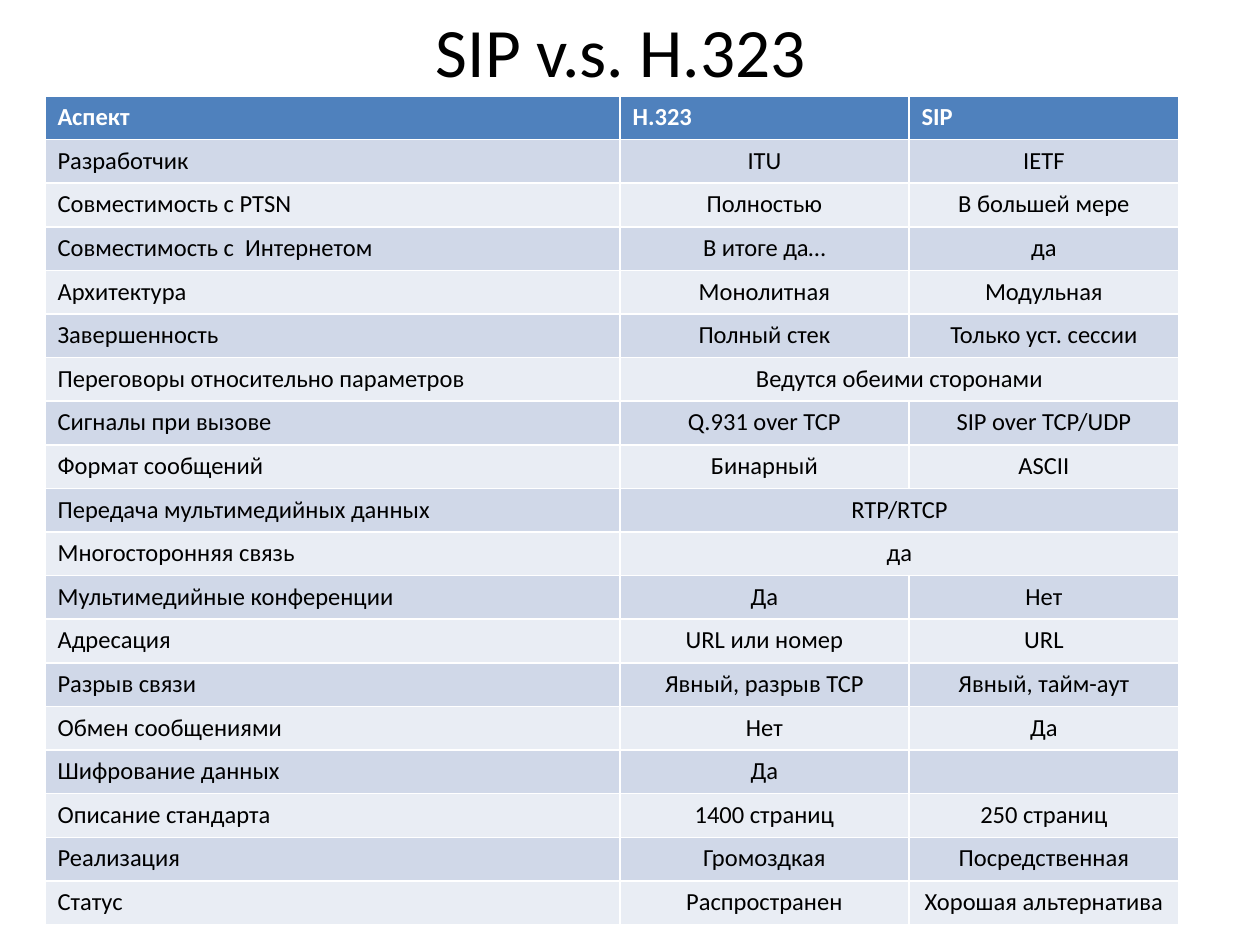
from lxml import etree
from pptx import Presentation
from pptx.dml.color import RGBColor
from pptx.enum.text import MSO_ANCHOR, MSO_AUTO_SIZE, PP_ALIGN
from pptx.oxml.ns import qn
from pptx.util import Pt

PX = 914400 // 126
LEFT, CENTER = PP_ALIGN.LEFT, PP_ALIGN.CENTER
MIDDLE = MSO_ANCHOR.MIDDLE
FIXED = MSO_AUTO_SIZE.NONE
BLACK = RGBColor(0x00, 0x00, 0x00)
WHITE = RGBColor(0xFF, 0xFF, 0xFF)
HEADER_BLUE = RGBColor(0x4F, 0x81, 0xBD)
BANDS = [RGBColor(0xE9, 0xED, 0xF4), RGBColor(0xD0, 0xD8, 0xE8)]
FONT = "Calibri"
CELL_SIZE = 14

# A row with two entries has its second cell merged over both protocols.
ROWS = [
    ("Аспект", "H.323", "SIP"),
    ("Разработчик", "ITU", "IETF"),
    ("Совместимость с PTSN", "Полностью", "В большей мере"),
    ("Совместимость с  Интернетом", "В итоге да…", "да"),
    ("Архитектура", "Монолитная", "Модульная"),
    ("Завершенность", "Полный стек", "Только уст. сессии"),
    ("Переговоры относительно параметров", "Ведутся обеими сторонами"),
    ("Сигналы при вызове", "Q.931 over TCP", "SIP over TCP/UDP"),
    ("Формат сообщений", "Бинарный", "ASCII"),
    ("Передача мультимедийных данных", "RTP/RTCP"),
    ("Многосторонняя связь", "да"),
    ("Мультимедийные конференции", "Да", "Нет"),
    ("Адресация", "URL или номер", "URL"),
    ("Разрыв связи", "Явный, разрыв TCP", "Явный, тайм-аут"),
    ("Обмен сообщениями", "Нет", "Да"),
    ("Шифрование данных", "Да", ""),
    ("Описание стандарта", "1400 страниц", "250 страниц"),
    ("Реализация", "Громоздкая", "Посредственная"),
    ("Статус", "Распространен", "Хорошая альтернатива"),
]
COLUMN_WIDTHS = [575, 289, 270]
TABLE_HEIGHT = 829


def write(para, text, align, size, color, bold=False):
    para.alignment = align
    if not text:
        # The end mark keeps an empty cell from growing its row.
        etree.SubElement(para._p, qn("a:endParaRPr"), sz=str(size * 100))
        return
    span = para.add_run()
    span.text = text
    span.font.color.rgb = color
    for name, value in {"name": FONT, "size": Pt(size), "bold": bold}.items():
        setattr(span.font, name, value)


deck = Presentation()
deck.slide_width, deck.slide_height = 1260 * PX, 945 * PX
page = deck.slides.add_slide(deck.slide_layouts[5])

title = page.shapes.title
frame = {"left": 54, "top": 16, "width": 1134, "height": 68}
for name, value in frame.items():
    setattr(title, name, value * PX)
title.text_frame.auto_size = FIXED
title.text_frame.vertical_anchor = MIDDLE
write(title.text_frame.paragraphs[0], "SIP v.s. H.323", CENTER, 39.6, BLACK)

table = page.shapes.add_table(
    len(ROWS), len(COLUMN_WIDTHS),
    45 * PX, 96 * PX, sum(COLUMN_WIDTHS) * PX, TABLE_HEIGHT * PX,
).table
for column, width in zip(table.columns, COLUMN_WIDTHS):
    column.width = width * PX
for row in table.rows:
    row.height = TABLE_HEIGHT * PX // len(ROWS)

for row_index, entries in enumerate(ROWS):
    is_header = row_index == 0
    for cell in table.rows[row_index].cells:
        cell.fill.solid()
        cell.fill.fore_color.rgb = HEADER_BLUE if is_header else BANDS[row_index % 2]
    if len(entries) == 2:
        table.cell(row_index, 1).merge(table.cell(row_index, 2))
    for column_index, text in enumerate(entries):
        para = table.cell(row_index, column_index).text_frame.paragraphs[0]
        align = LEFT if is_header or column_index == 0 else CENTER
        write(para, text, align, CELL_SIZE, WHITE if is_header else BLACK, is_header)

deck.save("out.pptx")
